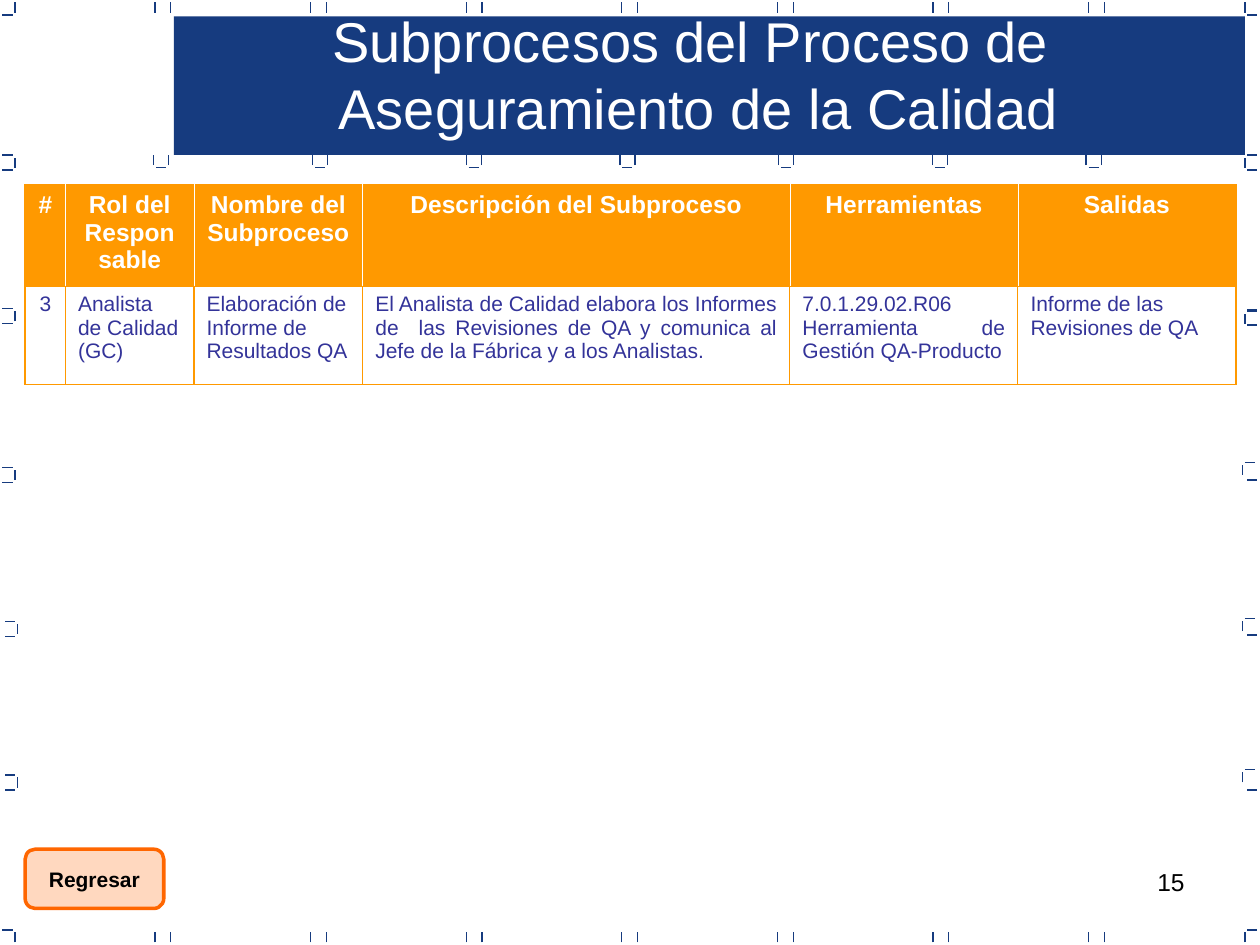
from lxml.etree import SubElement
from pptx import Presentation
from pptx.dml.color import RGBColor
from pptx.enum.shapes import MSO_CONNECTOR, MSO_SHAPE
from pptx.enum.text import MSO_ANCHOR, MSO_AUTO_SIZE, PP_ALIGN
from pptx.oxml.ns import qn
from pptx.util import Inches, Pt

NAVY, ORANGE, BUTTON, INDIGO = "163B7F", "FF9900", "FF6600", "333399"
WHITE, BLACK = "FFFFFF", "000000"
LEFT, CENTER, RIGHT, JUSTIFY = PP_ALIGN.LEFT, PP_ALIGN.CENTER, PP_ALIGN.RIGHT, PP_ALIGN.JUSTIFY

TITLE = ["Subprocesos del Proceso de ", "Aseguramiento de la Calidad"]
# Heading, column width, body text, body alignment, body space before and after
COLUMNS = [
    ("#", 0.32, "3", CENTER, 7.1, 7.1),
    ("Rol del Responsable", 1.02, "Analista de Calidad (GC)", LEFT, 3, 0),
    ("Nombre del Subproceso", 1.34, "Elaboración de Informe de Resultados QA", LEFT, 3, 0),
    ("Descripción del Subproceso", 3.39,
     "El Analista de Calidad elabora los Informes de  las Revisiones de QA y comunica al "
     "Jefe de la Fábrica y a los Analistas.", JUSTIFY, 7.1, 7.1),
    ("Herramientas", 1.81, "7.0.1.29.02.R06 Herramienta de Gestión QA-Producto", JUSTIFY, 7.1, 7.1),
    ("Salidas", 1.73, "Informe de las Revisiones de QA", LEFT, 7.1, 7.1),
]
ROW_HEIGHTS = [0.8, 0.78]

# Frame marks: short strokes around 0.12 inch squares
MARK, GAP, SQUARE = 0.08, 0.02, 0.12
BANNER_SQUARES = [1.22, 2.48, 3.7, 4.92, 6.18, 7.4, 8.62]
LEFT_SQUARES = [(0.12, 1.23), (0.12, 2.45), (0.12, 3.71), (0.14, 4.93), (0.14, 6.15)]
RIGHT_SQUARES = [(9.88, 1.23), (9.88, 2.47), (9.86, 3.67), (9.86, 4.91), (9.86, 6.11)]
RIGHT_DASHES = [1.35, 2.46, 2.58, 3.81, 5.04, 6.27]


def color(value):
    return RGBColor.from_string(value)


def write(frame, lines, size=12, ink=BLACK, bold=False, align=LEFT, before=0, after=0):
    frame.word_wrap = True
    for index, line in enumerate(lines):
        para = frame.paragraphs[0] if index == 0 else frame.add_paragraph()
        para.alignment = align
        para.space_before, para.space_after = Pt(before), Pt(after)
        span = para.add_run()
        span.text = line
        span.font.name, span.font.size, span.font.bold = "Arial", Pt(size), bold
        span.font.color.rgb = color(ink)


def add_line(page, x1, y1, x2, y2):
    line = page.shapes.add_connector(
        MSO_CONNECTOR.STRAIGHT, Inches(x1), Inches(y1), Inches(x2), Inches(y2))
    line.line.color.rgb = color(NAVY)
    line.line.width = Pt(0.75)
    SubElement(line.element.spPr, qn("a:effectLst"))


def tick(page, x, top):
    add_line(page, x, top + MARK, x, top)


def dash(page, left, y):
    add_line(page, left, y, left + MARK, y)


def add_frame_marks(page):
    pairs = [1.23 + 1.235 * step + offset for step in range(7) for offset in (0, 0.125)]
    for x in [0.12, *pairs, 9.88]:
        for top in (0.02, 7.4):
            tick(page, x, top)
    for left in (0.02, 9.9):
        for y in (0.12, 7.38):
            dash(page, left, y)
    for x in BANNER_SQUARES:
        tick(page, x, 1.23)
        tick(page, x + SQUARE, 1.23)
        dash(page, x + GAP, 1.33)
    for x, y in LEFT_SQUARES:
        tick(page, x, y + GAP)
        dash(page, x - GAP - MARK, y)
        dash(page, x - GAP - MARK, y + SQUARE)
    for x, y in RIGHT_SQUARES:
        tick(page, x, y + GAP)
        dash(page, x + GAP, y)
    for y in RIGHT_DASHES:
        dash(page, 9.9, y)


def set_borders(cell, **sides):
    properties = cell._tc.get_or_add_tcPr()
    for side in "LRTB":
        ink, width = sides[side]
        edge = SubElement(properties, qn(f"a:ln{side}"), w=str(Pt(width)))
        fill = SubElement(edge, qn("a:solidFill"))
        SubElement(fill, qn("a:srgbClr"), val=ink)


def add_process_table(page):
    outer, inner, pale = (ORANGE, 1.08), (ORANGE, 0.75), (WHITE, 0.45)
    widths = [column[1] for column in COLUMNS]
    table = page.shapes.add_table(
        2, len(COLUMNS), Inches(0.2), Inches(1.47),
        Inches(sum(widths)), Inches(sum(ROW_HEIGHTS))).table
    table.horz_banding = False
    for row, height in zip(table.rows, ROW_HEIGHTS):
        row.height = Inches(height)
    last = len(COLUMNS) - 1
    for index, (heading, width, body, align, before, after) in enumerate(COLUMNS):
        table.columns[index].width = Inches(width)
        head, cell = table.cell(0, index), table.cell(1, index)
        for target, divider, top, bottom in ((head, pale, outer, inner), (cell, inner, inner, outer)):
            set_borders(target, L=outer if index == 0 else divider,
                        R=outer if index == last else divider, T=top, B=bottom)
        head.fill.solid()
        head.fill.fore_color.rgb = color(ORANGE)
        cell.fill.background()
        write(head.text_frame, [heading], size=14, ink=WHITE, bold=True, align=CENTER, before=3.5)
        write(cell.text_frame, [body], ink=INDIGO, align=align, before=before, after=after)


def add_box(page, kind, left, top, width, height, fill):
    box = page.shapes.add_shape(kind, Inches(left), Inches(top), Inches(width), Inches(height))
    box.shadow.inherit = False
    box.fill.solid()
    box.fill.fore_color.rgb = color(fill)
    box.line.fill.background()
    return box


def add_text(page, left, top, width, height, lines, **style):
    box = page.shapes.add_textbox(Inches(left), Inches(top), Inches(width), Inches(height))
    write(box.text_frame, lines, **style)
    return box


def add_back_button(page):
    button = add_box(page, MSO_SHAPE.FLOWCHART_ALTERNATE_PROCESS, 0.2, 6.74, 1.1, 0.47, BUTTON)
    tint = button.element.spPr.find(qn("a:solidFill")).find(qn("a:srgbClr"))
    SubElement(tint, qn("a:alpha"), val="25000")
    button.line.color.rgb = color(BUTTON)
    button.line.width = Pt(2)
    write(button.text_frame, ["Regresar"], bold=True, align=CENTER)
    button.text_frame.word_wrap = False
    button.text_frame.vertical_anchor = MSO_ANCHOR.MIDDLE


def main():
    deck = Presentation()
    deck.slide_width, deck.slide_height = Inches(10), Inches(7.5)
    page = deck.slides.add_slide(deck.slide_layouts[6])
    add_text(page, 7.17, 6.83, 2.33, 0.52, ["15"], size=14, align=RIGHT)
    add_box(page, MSO_SHAPE.RECTANGLE, 1.38, 0.13, 8.5, 1.1, NAVY)
    add_frame_marks(page)
    add_process_table(page)
    title = add_text(page, 1.46, 0, 8.17, 1.17, TITLE, size=32, ink=WHITE, align=CENTER)
    title.text_frame.auto_size = MSO_AUTO_SIZE.SHAPE_TO_FIT_TEXT
    add_back_button(page)
    deck.save("out.pptx")


if __name__ == "__main__":
    main()
